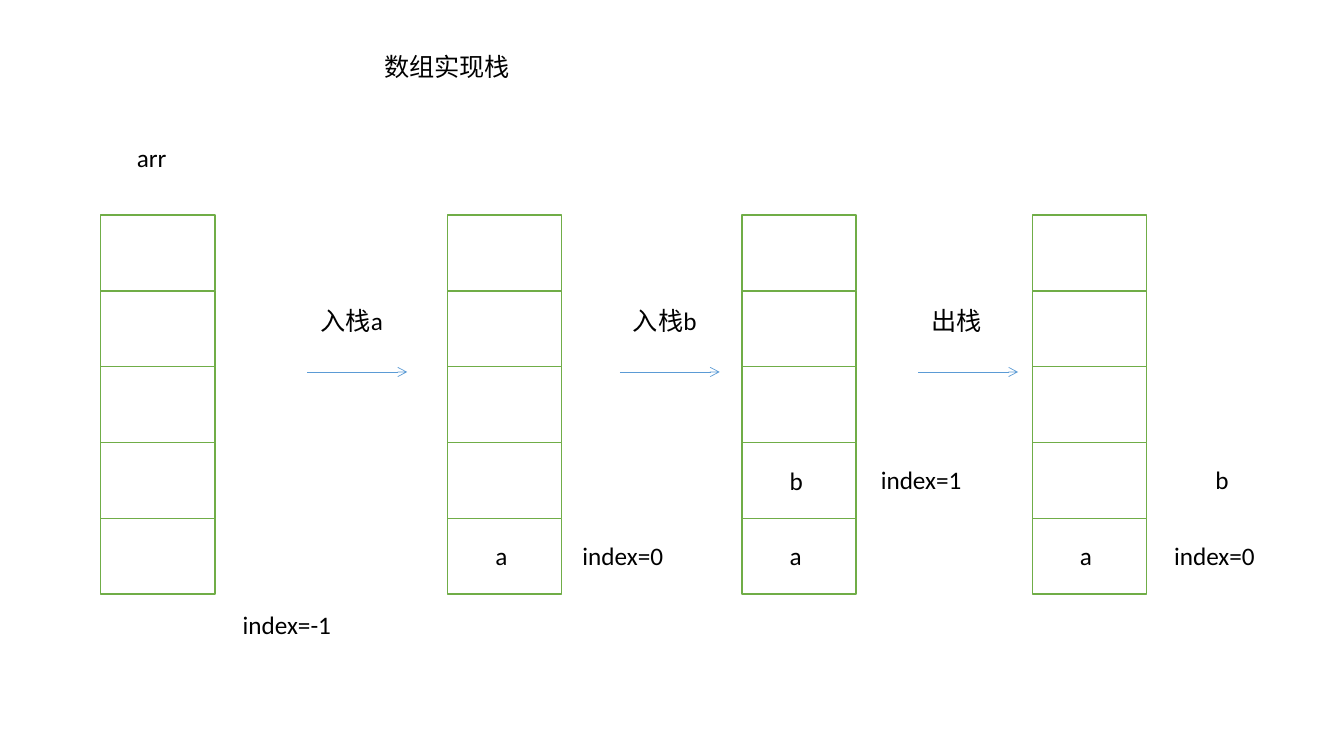
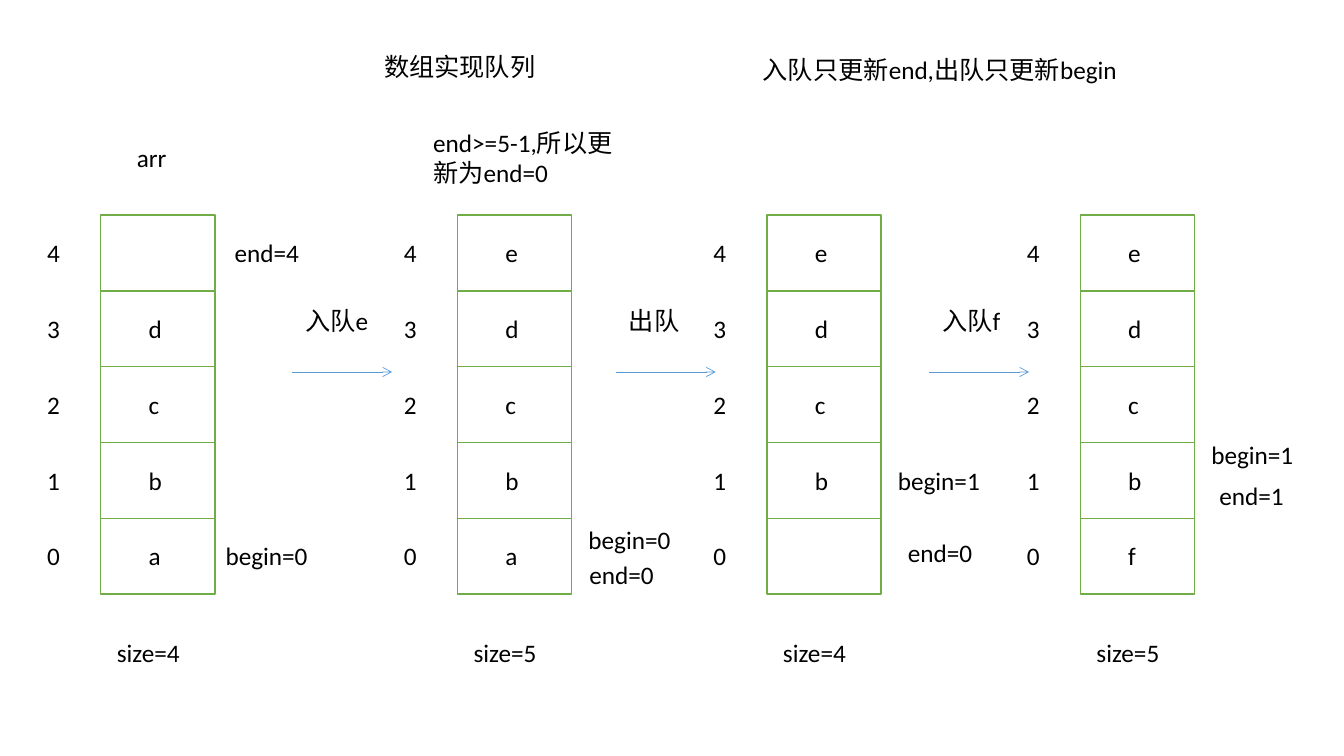
"""Build two slides showing a stack and a queue implemented with an array."""
from dataclasses import dataclass

from lxml.etree import SubElement
from pptx import Presentation
from pptx.dml.color import RGBColor as Rgb
from pptx.enum.shapes import MSO_CONNECTOR as Connector, MSO_SHAPE as Preset
from pptx.enum.text import MSO_ANCHOR as Anchor, MSO_AUTO_SIZE as AutoSize, PP_ALIGN as Align
from pptx.oxml.ns import qn
from pptx.util import Pt


@dataclass(frozen=True)
class Theme:
    """Colours, font and line widths shared by both slides."""
    ink: Rgb = Rgb(0, 0, 0)
    paper: Rgb = Rgb(255, 255, 255)
    border: Rgb = Rgb(0x70, 0xAD, 0x47)
    arrow: Rgb = Rgb(0x5B, 0x9B, 0xD5)
    font: str = "Calibri"
    size: float = 18
    border_width: float = 1
    arrow_width: float = 0.5


STACK_PAGE = {
    "title": "数组实现栈",
    "indexed": False,
    "arrays": [
        {"left": 72, "items": "", "notes": [("index=-1", 94.3, 432)]},
        {"left": 319.7, "items": "a", "notes": [("index=0", 89.3, 382.3)]},
        {"left": 529.9, "items": "ab", "notes": [("index=1", 92.2, 328.3)]},
        {"left": 737.3, "items": "a", "notes": [("index=0", 94.3, 382.3), ("b", 123.8, 328.3)]},
    ],
    "steps": [("入栈a", 219.6), ("入栈b", 442.8), ("出栈", 655.9)],
    "remarks": [],
}
QUEUE_PAGE = {
    "title": "数组实现队列",
    "indexed": True,
    "arrays": [
        {"left": 72, "items": "abcd", "size": "size=4",
         "notes": [("begin=0", 82.1, 382.3), ("end=4", 88.6, 166.3)]},
        {"left": 326.9, "items": "abcde", "size": "size=5",
         "notes": [("begin=0", 86.4, 370.8), ("end=0", 87.1, 396)]},
        {"left": 547.9, "items": " bcde", "size": "size=4",
         "notes": [("begin=1", 86.4, 329), ("end=0", 93.6, 380.2)]},
        {"left": 771.8, "items": "fbcde", "size": "size=5",
         "notes": [("begin=1", 86.4, 310.3), ("end=1", 92.2, 339.8)]},
    ],
    "steps": [("入队e", 208.8), ("出队", 439.9), ("入队f", 663.8)],
    "remarks": [("end>=5-1,所以更新为end=0".replace(",", ","), 302.4, 87.1, 158.4, 51.1),
                ("入队只更新end,出队只更新begin".replace(",", ","), 537.8, 35.3, 319.7, 29)],
}

THEME = Theme()
SLIDE_WIDTH, SLIDE_HEIGHT = 960, 540
CAPACITY = 5
CELL_WIDTH, CELL_HEIGHT, ARRAY_TOP = 81.5, 54.15, 153.6
TEXT_HEIGHT, TEXT_DROP = 29, 12.5
ITEM_SHIFT, ITEM_WIDTH = 27, 27.4
INDEX_SHIFT, INDEX_WIDTH = -45.4, 36
SIZE_SHIFT, SIZE_TOP, SIZE_WIDTH = 4.3, 451.4, 73.4
NOTE_WIDTH = 94
ARROW_TOP, ARROW_LENGTH = 265.7, 71.3
STEP_SHIFT, STEP_TOP, STEP_WIDTH = 2.2, 214.6, 70.6
TITLE_FRAME = (267.1, 33.1, 229.7, TEXT_HEIGHT)
NAME_FRAME = (90.7, 97.9, 45.4, TEXT_HEIGHT)


def write(box, text):
    """Fill a text box or placeholder with one left-aligned run."""
    frame = box.text_frame
    frame.word_wrap = True
    frame.auto_size = AutoSize.SHAPE_TO_FIT_TEXT
    frame.vertical_anchor = Anchor.TOP
    para = frame.paragraphs[0]
    para.alignment = Align.LEFT
    span = para.add_run()
    span.text = text
    span.font.name, span.font.size = THEME.font, Pt(THEME.size)
    span.font.color.rgb = THEME.ink


def add_text(shapes, text, left, top, width, height=TEXT_HEIGHT):
    """Add a text box."""
    write(shapes.add_textbox(Pt(left), Pt(top), Pt(width), Pt(height)), text)


def add_title(page, text):
    """Place the title placeholder and write into it."""
    title = page.shapes.title
    title.left, title.top, title.width, title.height = map(Pt, TITLE_FRAME)
    write(title, text)


def add_array(page, array, indexed):
    """Draw one array state, with slot 0 at the bottom."""
    shapes = page.shapes.add_group_shape().shapes
    left = array["left"]
    tops = [ARRAY_TOP + (CAPACITY - 1 - slot) * CELL_HEIGHT for slot in range(CAPACITY)]
    for top in reversed(tops):
        cell = shapes.add_shape(Preset.RECTANGLE, Pt(left), Pt(top), Pt(CELL_WIDTH), Pt(CELL_HEIGHT))
        cell.shadow.inherit = False
        cell.fill.solid()
        cell.fill.fore_color.rgb = THEME.paper
        cell.line.color.rgb = THEME.border
        cell.line.width = Pt(THEME.border_width)
    for item, top in zip(array["items"], tops):
        if item.strip():
            add_text(shapes, item, left + ITEM_SHIFT, top + TEXT_DROP, ITEM_WIDTH)
    if indexed:
        for slot, top in enumerate(tops):
            add_text(shapes, str(slot), left + INDEX_SHIFT, top + TEXT_DROP, INDEX_WIDTH)
    if "size" in array:
        add_text(shapes, array["size"], left + SIZE_SHIFT, SIZE_TOP, SIZE_WIDTH)
    for text, shift, top in array["notes"]:
        add_text(shapes, text, left + shift, top, NOTE_WIDTH)


def add_step(page, text, left):
    """Draw an arrow with the operation's name above it."""
    arrow = page.shapes.add_connector(Connector.STRAIGHT, Pt(left), Pt(ARROW_TOP),
                                      Pt(left + ARROW_LENGTH), Pt(ARROW_TOP))
    arrow.line.color.rgb = THEME.arrow
    arrow.line.width = Pt(THEME.arrow_width)
    SubElement(arrow.line._get_or_add_ln(), qn("a:tailEnd"), type="arrow")
    SubElement(arrow._element.spPr, qn("a:effectLst"))
    add_text(page.shapes, text, left + STEP_SHIFT, STEP_TOP, STEP_WIDTH)


def add_page(deck, content):
    """Build one slide from its content."""
    page = deck.slides.add_slide(deck.slide_layouts.get_by_name("Title Only"))
    add_title(page, content["title"])
    add_text(page.shapes, "arr", *NAME_FRAME)
    for array in content["arrays"]:
        add_array(page, array, content["indexed"])
    for text, left in content["steps"]:
        add_step(page, text, left)
    for remark in content["remarks"]:
        add_text(page.shapes, *remark)


deck = Presentation()
deck.slide_width, deck.slide_height = Pt(SLIDE_WIDTH), Pt(SLIDE_HEIGHT)
for content in (STACK_PAGE, QUEUE_PAGE):
    add_page(deck, content)
deck.save("out.pptx")
